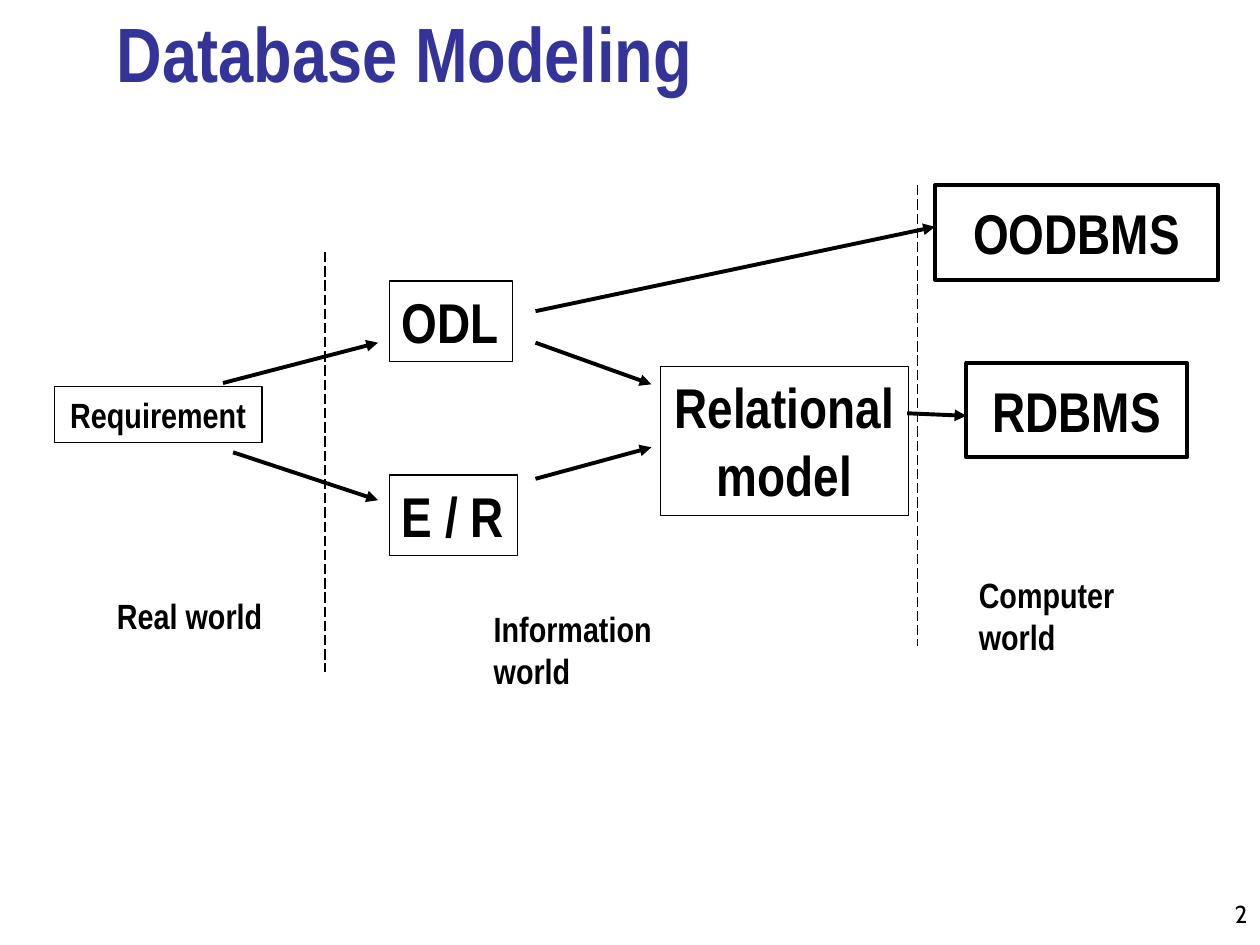
import dataclasses

import lxml.etree
import pptx
import pptx.dml.color
import pptx.enum.dml
import pptx.enum.shapes
import pptx.enum.text
import pptx.oxml.ns
import pptx.util

EMU_PER_PX = 9144
ALIGN = pptx.enum.text.PP_ALIGN
ANCHOR = pptx.enum.text.MSO_ANCHOR


@dataclasses.dataclass(frozen=True)
class Theme:
    """Colours, fonts, type sizes and line widths of the slide."""
    paper: str = "FFFFFF"
    ink: str = "000000"
    heading: str = "333399"
    font: str = "Arial Narrow"
    number_font: str = "Cabin"
    title_size: int = 44
    model_size: int = 32
    label_size: int = 20
    number_size: int = 14
    thin: float = 0.75
    thick: float = 2.25


THEME = Theme()


def px(length):
    """Turn pixels into EMU."""
    return pptx.util.Emu(length * EMU_PER_PX)


def colour(code):
    """Turn a hex code into a colour."""
    return pptx.dml.color.RGBColor.from_string(code)


def place(box, left, top, width, height):
    """Shift a part by the corner of its region."""
    return box[0] + left, box[1] + top, width, height


def write(shape, text, size, align=ALIGN.LEFT, anchor=ANCHOR.TOP, wrap=True,
          ink=THEME.ink, font=THEME.font, bold=True):
    """Write one paragraph into a shape."""
    frame = shape.text_frame
    frame.word_wrap = wrap
    frame.vertical_anchor = anchor
    para = frame.paragraphs[0]
    para.alignment = align
    span = para.add_run()
    span.text = text
    span.font.name = font
    span.font.size = pptx.util.Pt(size)
    span.font.bold = bold
    span.font.color.rgb = colour(ink)


def add_text(page, box, text, size, **style):
    """Add a text box."""
    shape = page.shapes.add_textbox(*map(px, box))
    write(shape, text, size, **style)


def add_node(page, box, text, size, line_width, **style):
    """Add an outlined rectangle with text."""
    shape = page.shapes.add_shape(
        pptx.enum.shapes.MSO_SHAPE.RECTANGLE, *map(px, box))
    shape.shadow.inherit = False
    shape.fill.background()
    shape.line.color.rgb = colour(THEME.ink)
    shape.line.width = pptx.util.Pt(line_width)
    write(shape, text, size, **style)


def add_line(page, box, start, end, line_width):
    """Add a straight line between two points of a region."""
    points = [px(corner + offset) for point in (start, end)
              for corner, offset in zip(box, point)]
    line = page.shapes.add_connector(
        pptx.enum.shapes.MSO_CONNECTOR.STRAIGHT, *points)
    line.line.color.rgb = colour(THEME.ink)
    line.line.width = pptx.util.Pt(line_width)
    lxml.etree.SubElement(line.element.spPr, pptx.oxml.ns.qn("a:effectLst"))
    return line


def add_arrow(page, box, start, end):
    """Add a thick line with a triangle at its end."""
    arrow = add_line(page, box, start, end, THEME.thick)
    outline = arrow.element.spPr.find(pptx.oxml.ns.qn("a:ln"))
    lxml.etree.SubElement(outline, pptx.oxml.ns.qn("a:tailEnd"),
                          type="triangle")


def add_title(page, box):
    """Place the slide title."""
    add_text(page, box, "Database Modeling", THEME.title_size,
             anchor=ANCHOR.BOTTOM, ink=THEME.heading)


def add_flow(page, box):
    """Place the path from requirement to database systems."""
    add_node(page, place(box, 0, 160, 165, 44), "Requirement",
             THEME.label_size, THEME.thin, align=ALIGN.CENTER)
    for text, top, width in (("ODL", 76, 98), ("E / R", 230, 102)):
        add_node(page, place(box, 266, top, width, 64), text,
                 THEME.model_size, THEME.thin, wrap=False)
    add_node(page, place(box, 481, 144, 197, 118), "Relational model",
             THEME.model_size, THEME.thin, align=ALIGN.CENTER)
    for text, left, top, width in (("OODBMS", 699, 0, 225),
                                   ("RDBMS", 724, 141, 175)):
        add_node(page, place(box, left, top, width, 75), text,
                 THEME.model_size, THEME.thick, align=ALIGN.CENTER,
                 anchor=ANCHOR.MIDDLE, wrap=False)
    for start, end in (((134, 157), (257, 125)),
                       ((142, 212), (257, 250)),
                       ((382, 125), (474, 158)),
                       ((382, 233), (474, 208)),
                       ((677, 181), (724, 183)),
                       ((382, 100), (699, 33))):
        add_arrow(page, box, start, end)


def add_worlds(page, box):
    """Place the world labels and the dashed borders between them."""
    for left, top, bottom in ((175, 53, 386), (645, 0, 366)):
        border = add_line(page, box, (left, top), (left, bottom), THEME.thin)
        border.line.dash_style = pptx.enum.dml.MSO_LINE.LONG_DASH
    for text, left, top, width, height in (
            ("Real world", 0, 320, 165, 43),
            ("Information world", 299, 330, 177, 77),
            ("Computer world", 684, 303, 167, 77)):
        add_text(page, place(box, left, top, width, height), text,
                 THEME.label_size)


def add_page_number(page, box):
    """Place the page number."""
    add_text(page, box, "2", THEME.number_size, align=ALIGN.RIGHT,
             anchor=ANCHOR.BOTTOM, font=THEME.number_font, bold=False)


def main():
    """Build the slide and save it."""
    deck = pptx.Presentation()
    deck.slide_width, deck.slide_height = px(1000), px(750)
    page = deck.slides.add_slide(deck.slide_layouts[6])
    page.background.fill.solid()
    page.background.fill.fore_color.rgb = colour(THEME.paper)
    add_page_number(page, (933, 692, 67, 50))
    add_title(page, (83, 8, 852, 75))
    add_flow(page, (43, 147, 924, 262))
    add_worlds(page, (83, 147, 851, 407))
    deck.save("out.pptx")


if __name__ == "__main__":
    main()
